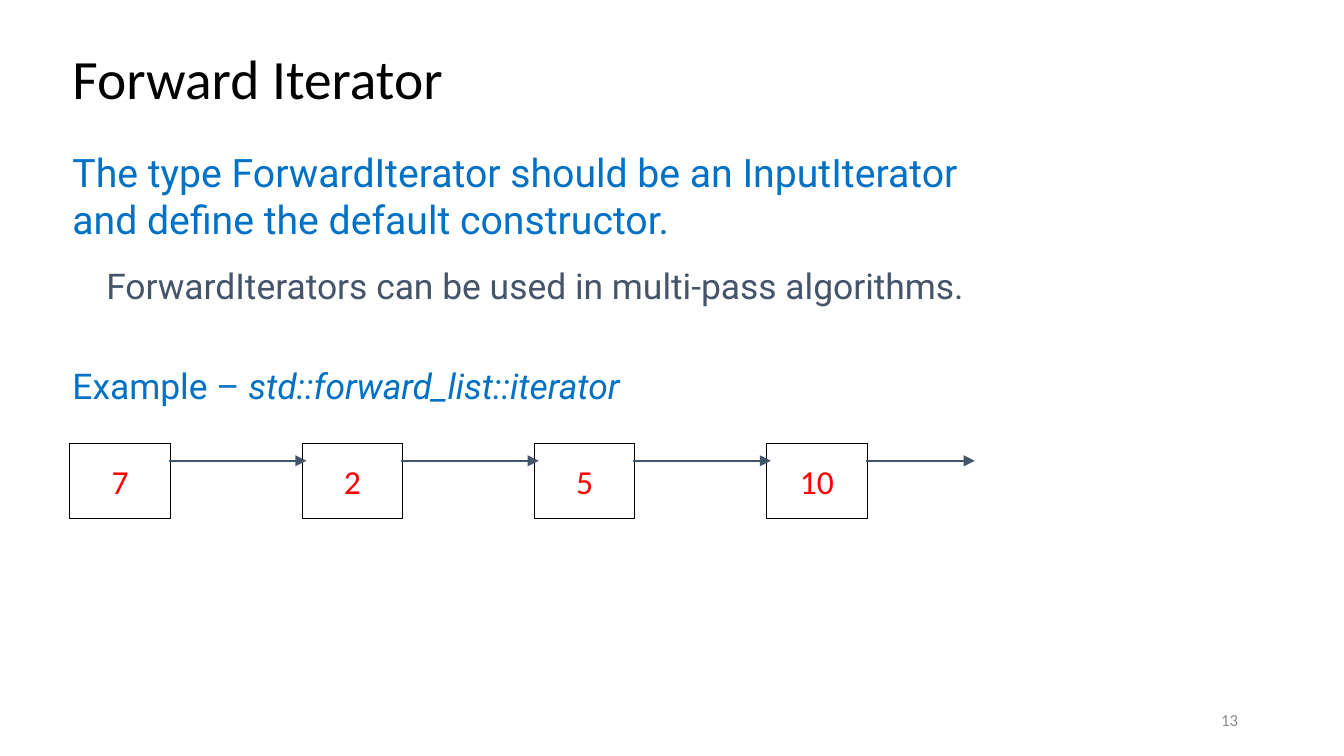
from dataclasses import dataclass
from lxml.etree import SubElement as Sub
from pptx import Presentation
from pptx.dml.color import RGBColor as Rgb
from pptx.enum.shapes import MSO_CONNECTOR as Conn, MSO_SHAPE as Kind
from pptx.enum.text import MSO_ANCHOR as Anchor, PP_ALIGN as Align
from pptx.oxml.ns import qn
from pptx.util import Cm, Pt


@dataclass(frozen=True)
class Theme:
    black: str = "000000"
    white: str = "FFFFFF"
    blue: str = "0071C5"
    slate: str = "44546A"
    gray: str = "8C8C8C"
    red: str = "FF0000"
    head: str = "Calibri"
    body: str = "Roboto"
    title: float = 29.7
    lead: float = 21
    point: float = 19
    value: float = 18
    page: float = 9


class Painter:
    def __init__(self, slide, theme):
        self.slide = slide
        self.theme = theme

    def style(self, para, size, color, face, align=Align.LEFT):
        para.alignment = align
        font = para.font
        font.size, font.name = Pt(size), face
        font.color.rgb = Rgb.from_string(color)

    def text(self, x, y, w, h, anchor=Anchor.TOP):
        box = self.slide.shapes.add_textbox(Cm(x), Cm(y), Cm(w), Cm(h))
        frame = box.text_frame
        frame.word_wrap = True
        frame.vertical_anchor = anchor
        return frame

    def node(self, x, y, w, h, label):
        t = self.theme
        box = self.slide.shapes.add_shape(Kind.RECTANGLE, Cm(x), Cm(y), Cm(w), Cm(h))
        box.shadow.inherit = False
        box.fill.solid()
        box.fill.fore_color.rgb = Rgb.from_string(t.white)
        box.line.color.rgb = Rgb.from_string(t.black)
        box.line.width = Pt(0.5)
        box.text_frame.vertical_anchor = Anchor.MIDDLE
        para = box.text_frame.paragraphs[0]
        para.text = label
        self.style(para, t.value, t.red, t.head, Align.CENTER)

    def arrow(self, x, y, end):
        link = self.slide.shapes.add_connector(Conn.STRAIGHT, Cm(x), Cm(y), Cm(end), Cm(y))
        link.line.color.rgb = Rgb.from_string(self.theme.slate)
        link.line.width = Pt(1)
        Sub(link.line._get_or_add_ln(), qn("a:tailEnd"), type="triangle")
        Sub(link._element.spPr, qn("a:effectLst"))


def main():
    deck = Presentation()
    deck.slide_width, deck.slide_height = Cm(25.4), Cm(14.29)
    theme = Theme()
    art = Painter(deck.slides.add_slide(deck.slide_layouts[6]), theme)
    left = 1.12

    # Title
    para = art.text(left, 0.86, 22.86, 1.37, Anchor.MIDDLE).paragraphs[0]
    para.text = "Forward Iterator"
    para.line_spacing = 0.9
    art.style(para, theme.title, theme.black, theme.head)

    # Page number
    para = art.text(17.93, 13.23, 5.72, 0.76, Anchor.MIDDLE).paragraphs[0]
    para.text = "13"
    art.style(para, theme.page, theme.gray, theme.head, Align.RIGHT)

    # Definition and its use
    frame = art.text(left, 2.67, 18.59, 9.8)
    lead, point = frame.paragraphs[0], frame.add_paragraph()
    lead.text = ("The type ForwardIterator should be an InputIterator "
                 "and define the default constructor.")
    art.style(lead, theme.lead, theme.blue, theme.body)
    point.text = "ForwardIterators can be used in multi-pass algorithms."
    point.level = 1
    art.style(point, theme.point, theme.slate, theme.body)
    point._p.get_or_add_pPr().set("marL", str(Cm(0.64)))
    lead.space_before = point.space_before = Pt(12)

    # Linked list: each arrow overlaps the box edges a little
    values = ["7", "2", "5", "10"]
    start, step, top, wide, tall = 1.32, 4.39, 8.38, 1.9, 1.42
    for i, value in enumerate(values):
        x = start + i * step
        art.node(x, top, wide, tall, value)
    for i in range(len(values)):
        x = start + i * step
        end = x + step + 0.08 if i < len(values) - 1 else 18.42
        art.arrow(x + wide - 0.03, 8.71, end)

    # Example
    para = art.text(left, 6.76, 18.82, 6.65).paragraphs[0]
    para.add_run().text = "Example – "
    name = para.add_run()
    name.text = "std::forward_list::iterator"
    name.font.italic = True
    para.space_before = Pt(12)
    art.style(para, theme.point, theme.blue, theme.body)

    deck.save("out.pptx")


if __name__ == "__main__":
    main()
